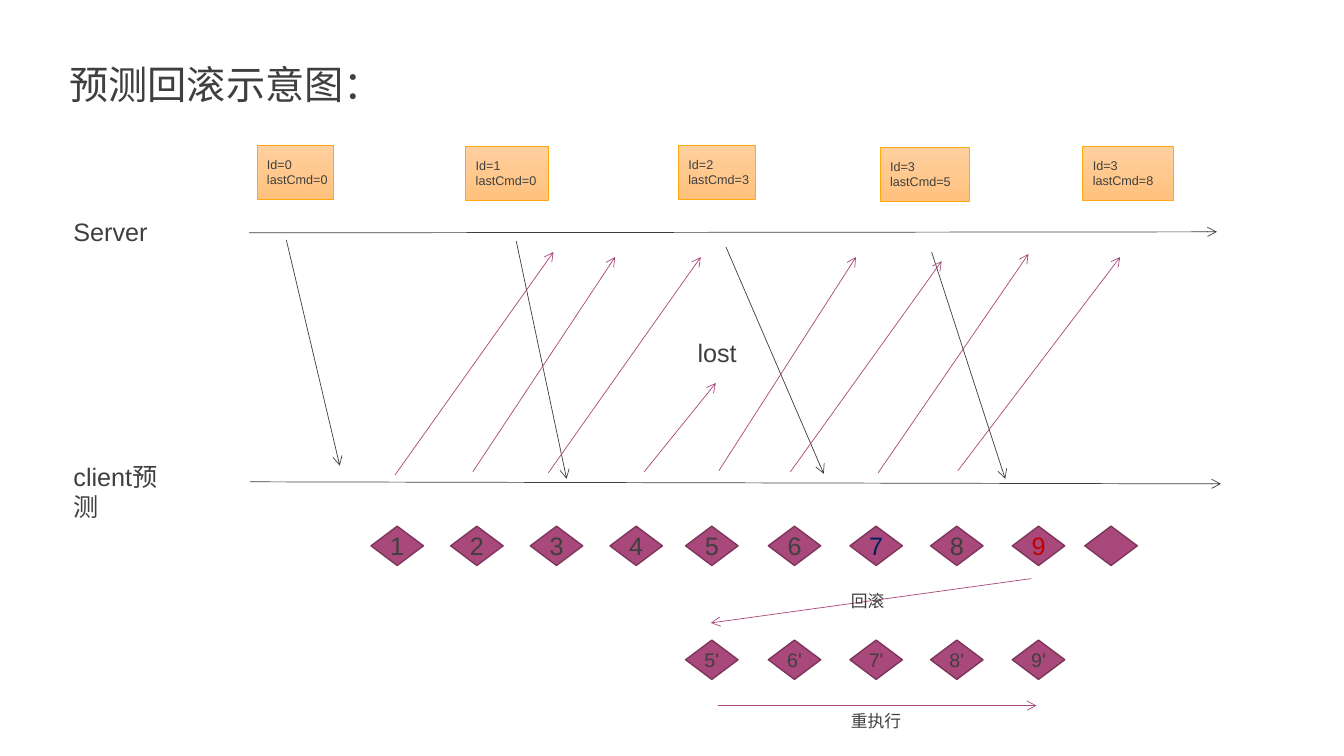
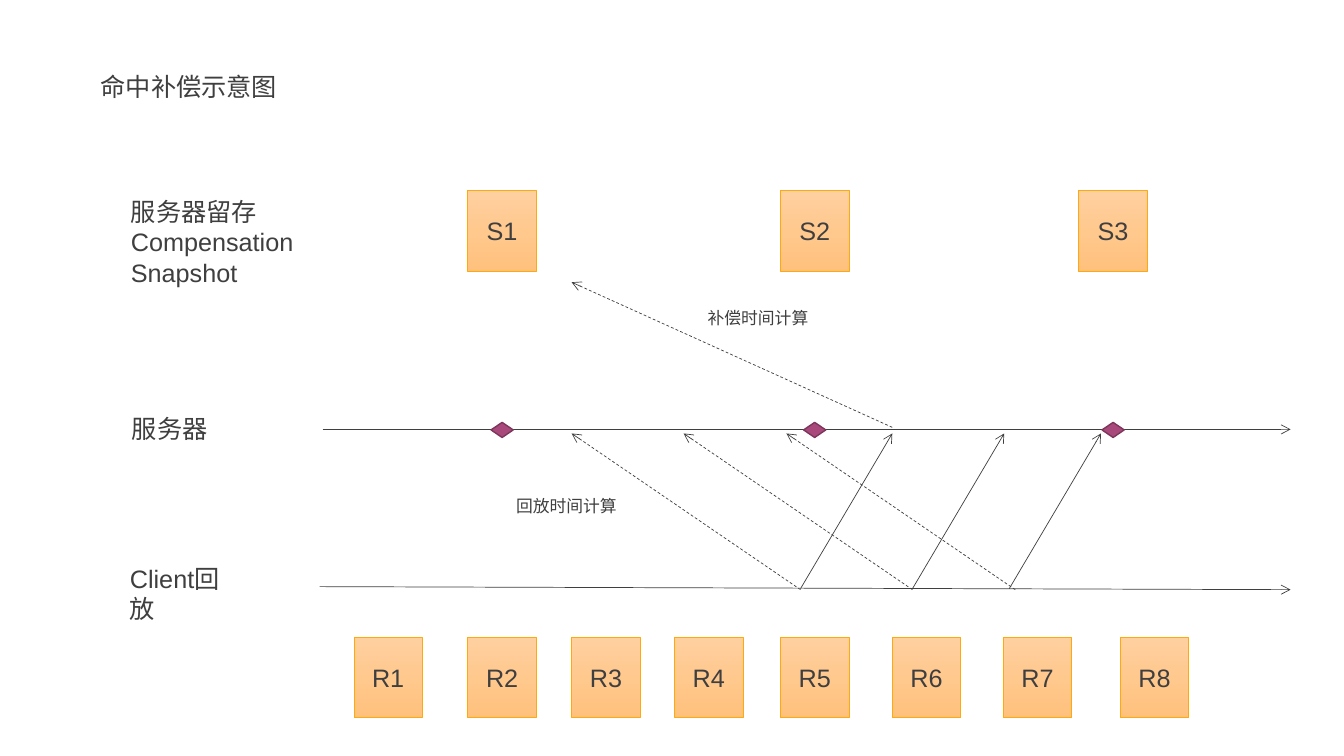
from dataclasses import dataclass

import lxml.etree
import pptx
import pptx.dml.color
import pptx.enum.dml
import pptx.enum.shapes
import pptx.enum.text
import pptx.oxml.ns
import pptx.util

SHAPES = pptx.enum.shapes.MSO_SHAPE
ALIGN = pptx.enum.text.PP_ALIGN


@dataclass(frozen=True)
class Theme:
    font: str = "Arial"
    ink: str = "3F3F3F"
    plum: str = "A9497B"
    plum_edge: str = "7D365B"
    peach_top: str = "FFD09F"
    peach_bottom: str = "FFC17D"
    peach_edge: str = "FFA90D"
    navy: str = "002060"
    red: str = "C00000"
    title: int = 28
    body: int = 18
    prime: int = 14
    note: int = 12
    packet: int = 9
    hairline: float = 0.5
    outline: float = 1


THEME = Theme()


def cells(count):
    """Length of a number of grid cells; the slide is 133.33 columns by 75 rows."""
    return pptx.util.Inches(count / 10)


def rgb(value):
    return pptx.dml.color.RGBColor.from_string(value)


def write(shape, text, size, color=THEME.ink, align=ALIGN.LEFT):
    shape.text_frame.text = text
    for paragraph in shape.text_frame.paragraphs:
        paragraph.alignment = align
        paragraph.font.name = THEME.font
        paragraph.font.size = pptx.util.Pt(size)
        paragraph.font.color.rgb = rgb(color)


def add_label(slide, text, left, top, width, size=THEME.body):
    height = size / 72 * 12 + 1
    box = slide.shapes.add_textbox(*map(cells, (left, top, width, height)))
    box.text_frame.word_wrap = True
    write(box, text, size)


def add_outlined(slide, kind, left, top, width, height, edge, weight):
    shape = slide.shapes.add_shape(kind, *map(cells, (left, top, width, height)))
    shape.shadow.inherit = False
    shape.line.color.rgb = rgb(edge)
    shape.line.width = pptx.util.Pt(weight)
    return shape


def add_card(slide, text, left, top, width, height, size=THEME.body, align=ALIGN.CENTER):
    card = add_outlined(slide, SHAPES.RECTANGLE, left, top, width, height,
                        THEME.peach_edge, THEME.hairline)
    card.fill.gradient()
    card.fill.gradient_angle = 270
    for stop, color in zip(card.fill.gradient_stops, (THEME.peach_top, THEME.peach_bottom)):
        stop.color.rgb = rgb(color)
    card.text_frame.margin_left = cells(1 if align == ALIGN.LEFT else 0)
    card.text_frame.margin_right = 0
    card.text_frame.vertical_anchor = pptx.enum.text.MSO_ANCHOR.MIDDLE
    write(card, text, size, align=align)


def add_diamond(slide, left, top, width=5.2, height=3.9, text="",
                size=THEME.body, color=THEME.ink):
    diamond = add_outlined(slide, SHAPES.DIAMOND, left, top, width, height,
                           THEME.plum_edge, THEME.outline)
    diamond.fill.solid()
    diamond.fill.fore_color.rgb = rgb(THEME.plum)
    if text:
        frame = diamond.text_frame
        frame.margin_left = frame.margin_right = frame.margin_top = frame.margin_bottom = 0
        frame.word_wrap = False
        frame.vertical_anchor = pptx.enum.text.MSO_ANCHOR.MIDDLE
        write(diamond, text, size, color, ALIGN.CENTER)


def add_arrow(slide, x1, y1, x2, y2, color=THEME.ink, dashed=False):
    connector = slide.shapes.add_connector(
        pptx.enum.shapes.MSO_CONNECTOR.STRAIGHT, *map(cells, (x1, y1, x2, y2)))
    connector.line.color.rgb = rgb(color)
    connector.line.width = pptx.util.Pt(THEME.hairline)
    if dashed:
        connector.line.dash_style = pptx.enum.dml.MSO_LINE.DASH
    qn = pptx.oxml.ns.qn
    properties = connector._element.spPr
    lxml.etree.SubElement(properties.get_or_add_ln(), qn("a:tailEnd"), type="arrow")
    lxml.etree.SubElement(properties, qn("a:effectLst"))


def build_rollback(slide):
    add_label(slide, "预测回滚示意图：", 5.9, 5.5, 56.2, THEME.title)
    add_label(slide, "Server", 6.3, 21, 19.7)
    add_label(slide, "client预测", 6.3, 45.3, 12.8)
    add_arrow(slide, 24.7, 23.1, 120.7, 23)
    add_arrow(slide, 24.8, 47.8, 121.1, 48)

    packets = [(25.5, 14.4, 7.6, 0, 0), (46.2, 14.5, 8.2, 1, 0), (67.3, 14.4, 7.6, 2, 3),
               (87.3, 14.6, 8.8, 3, 5), (107.4, 14.5, 9, 3, 8)]
    for left, top, width, number, command in packets:
        add_card(slide, f"Id={number}\nlastCmd={command}", left, top, width, 5.4,
                 THEME.packet, ALIGN.LEFT)

    command_lefts = [36.8, 44.7, 52.6, 60.5, 68, 76.2, 84.3, 92.3, 100.4]
    accents = {7: THEME.navy, 9: THEME.red}
    for number, left in enumerate(command_lefts, 1):
        add_diamond(slide, left, 52.2, text=str(number), color=accents.get(number, THEME.ink))
        if number >= 5:
            add_diamond(slide, left, 63.5, text=f"{number}'", size=THEME.prime)
    add_diamond(slide, 107.6, 52.2)

    server_updates = [(28.4, 23.8, 33.7, 46.2), (51.2, 23.9, 56.2, 47.5),
                      (72, 24.5, 81.7, 47), (92.4, 25, 99.7, 47.5)]
    for ends in server_updates:
        add_arrow(slide, *ends)
    client_commands = [(39.2, 47.1, 54.9, 25), (46.9, 46.8, 61, 25.5),
                       (54.4, 46.9, 69.5, 25.5), (63.9, 46.8, 71, 38),
                       (71.3, 46.7, 84.9, 25.5), (78.4, 46.8, 93.4, 25.9),
                       (87.1, 46.9, 102, 25.2), (95, 46.7, 111.1, 25.5)]
    rollback, replay = (102.3, 57.4, 70.5, 61.8), (71.2, 70, 102.8, 70)
    for ends in [*client_commands, rollback, replay]:
        add_arrow(slide, *ends, color=THEME.plum)

    add_label(slide, "lost", 68.2, 33, 6.7)
    add_label(slide, "回滚", 83.4, 58.1, 7.2, THEME.note)
    add_label(slide, "重执行", 83.4, 70, 8.1, THEME.note)


def build_compensation(slide):
    add_label(slide, "命中补偿示意图", 9, 6.6, 21)
    add_label(slide, "服务器留存Compensation Snapshot", 12, 19, 19.7)
    add_label(slide, "服务器", 12.1, 40.5, 19.7)
    add_label(slide, "Client回放", 11.9, 55.4, 12.6)
    add_arrow(slide, 32, 42.6, 128, 42.6)
    add_arrow(slide, 31.7, 58.2, 128, 58.5)

    card_width, card_height = 6.8, 8
    for number, left in enumerate([35.1, 46.4, 56.7, 66.9, 77.4, 88.5, 99.5, 111.1], 1):
        add_card(slide, f"R{number}", left, 63.2, card_width, card_height)

    mark_width, mark_height = 2.2, 1.5
    for number, left in enumerate([46.4, 77.4, 107], 1):
        add_card(slide, f"S{number}", left, 18.9, card_width, card_height)
        add_diamond(slide, left + (card_width - mark_width) / 2, 41.9, mark_width, mark_height)

    for dashed_start, solid_start in [(79.4, 79.4), (90.5, 90.5), (100.7, 100.1)]:
        add_arrow(slide, dashed_start, 58.5, dashed_start - 22.7, 43, dashed=True)
        add_arrow(slide, solid_start, 58.4, solid_start + 9.1, 43)
    add_arrow(slide, 88.5, 42.4, 56.7, 28, dashed=True)

    add_label(slide, "回放时间计算", 50.2, 48.7, 13, THEME.note)
    add_label(slide, "补偿时间计算", 69.2, 30, 13, THEME.note)


def main():
    presentation = pptx.Presentation()
    presentation.slide_width = pptx.util.Inches(13.33)
    presentation.slide_height = pptx.util.Inches(7.5)
    for build in (build_rollback, build_compensation):
        build(presentation.slides.add_slide(presentation.slide_layouts[6]))
    presentation.save("out.pptx")


if __name__ == "__main__":
    main()
